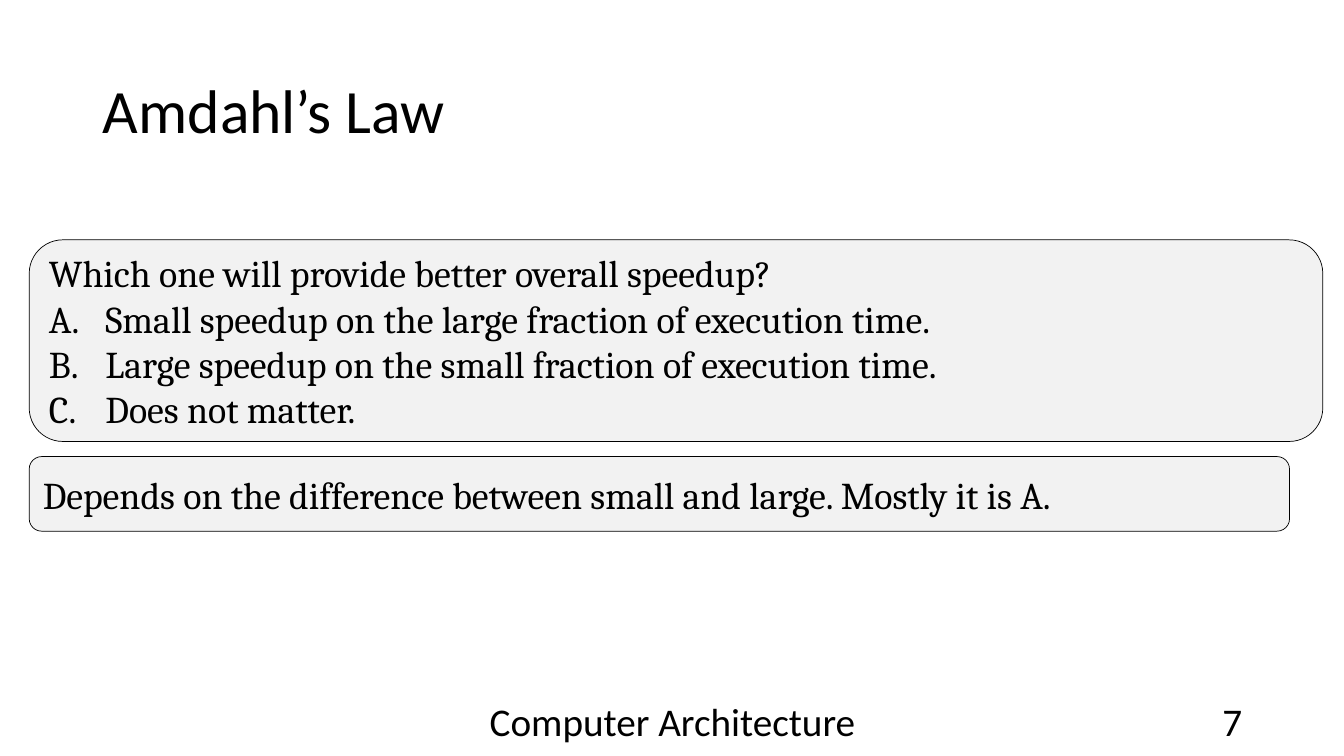
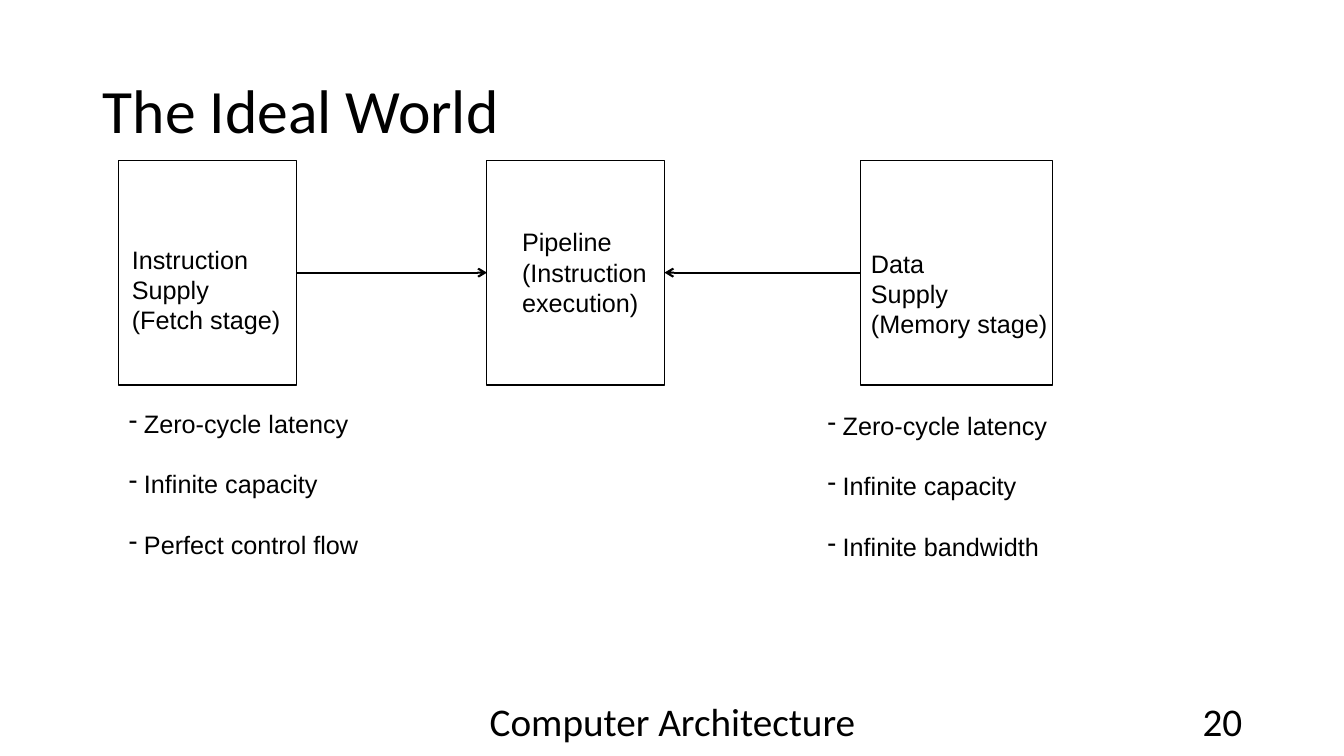
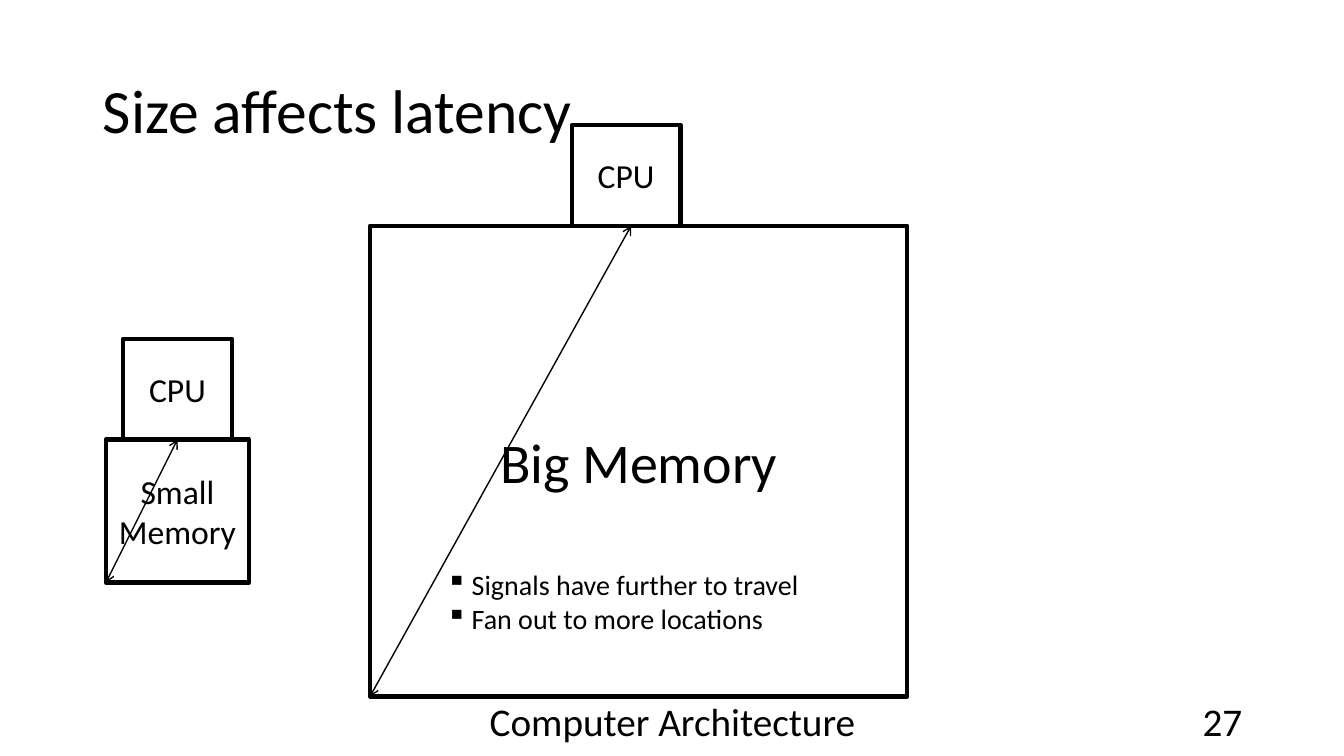
"""Build three slides on computer architecture: speedup, pipeline and latency."""
from dataclasses import dataclass

from lxml.etree import SubElement
from pptx import Presentation
from pptx.dml.color import RGBColor
from pptx.enum.shapes import MSO_CONNECTOR, MSO_SHAPE
from pptx.enum.text import MSO_ANCHOR, MSO_AUTO_SIZE, PP_ALIGN
from pptx.oxml.ns import qn
from pptx.util import Inches, Pt


@dataclass(frozen=True)
class Theme:
    ink: RGBColor = RGBColor(0, 0, 0)
    paper: RGBColor = RGBColor(255, 255, 255)
    panel: RGBColor = RGBColor(0xF2, 0xF2, 0xF2)
    sans: str = "Calibri"
    serif: str = "Cambria"
    plain: str = "Arial"
    title: int = 44
    big: int = 40
    foot: int = 28
    quiz: int = 27
    block: int = 24
    point: int = 20
    label: int = 18


theme = Theme()


def write(frame, lines, size, font=theme.sans, align=PP_ALIGN.LEFT, anchor=MSO_ANCHOR.MIDDLE,
          mark=None, indent=0, pitch=None, gap=0):
    """Fill a text frame; lines after a blank mark stay unmarked."""
    frame.word_wrap = True
    frame.auto_size = MSO_AUTO_SIZE.NONE
    frame.vertical_anchor = anchor
    for i, line in enumerate(lines):
        para = frame.paragraphs[0] if i == 0 else frame.add_paragraph()
        para.alignment = align
        para.space_after = Pt(gap)
        para.line_spacing = pitch
        run = para.add_run()
        run.text = line
        run.font.size = Pt(size)
        run.font.name = font
        run.font.color.rgb = theme.ink
        if mark and not (mark == "A." and i == 0):
            props = para._p.get_or_add_pPr()
            props.set("marL", str(Inches(indent)))
            props.set("indent", str(-Inches(indent)))
            if mark == "A.":
                SubElement(props, qn("a:buAutoNum"), type="alphaUcPeriod")
            else:
                SubElement(props, qn("a:buChar"), char=mark)


def box(shapes, kind, at, width, fill=None):
    """Add an outlined box."""
    shape = shapes.add_shape(kind, *map(Inches, at))
    shape.shadow.inherit = False
    if fill is None:
        shape.fill.background()
    else:
        shape.fill.solid()
        shape.fill.fore_color.rgb = fill
    shape.line.color.rgb = theme.ink
    shape.line.width = Pt(width)
    return shape


deck = Presentation()
deck.slide_width, deck.slide_height = Inches(13.33), Inches(7.5)
slides = []
for title, number in (("Amdahl’s Law", "7"), ("The Ideal World", "20"), ("Size affects latency", "27")):
    slide = deck.slides.add_slide(deck.slide_layouts[5])
    head = slide.shapes.title
    head.left, head.top, head.width, head.height = map(Inches, (0.92, 0.4, 11.5, 1.45))
    write(head.text_frame, [title], theme.title, pitch=0.9)
    for left, width, text, align in ((4.42, 4.5, "Computer Architecture", PP_ALIGN.CENTER),
                                     (9.42, 3, number, PP_ALIGN.RIGHT)):
        foot = slide.shapes.add_textbox(*map(Inches, (left, 6.95, width, 0.4)))
        write(foot.text_frame, [text], theme.foot, align=align)
    slides.append(slide)
law, ideal, delay = slides
links = []

quiz = ["Which one will provide better overall speedup?",
        "Small speedup on the large fraction of execution time.",
        "Large speedup on the small fraction of execution time.",
        "Does not matter."]
reply = ["Depends on the difference between small and large. Mostly it is A."]
for at, lines, mark in (((0.29, 2.38, 12.83, 2), quiz, "A."), ((0.29, 4.53, 12.5, 0.74), reply, None)):
    panel = box(law.shapes, MSO_SHAPE.ROUNDED_RECTANGLE, at, 0.5, theme.panel)
    write(panel.text_frame, lines, theme.quiz, theme.serif, mark=mark, indent=0.56)

stages = []
for left, width, at, lines in (
        (1.18, 1.76, (1.21, 2.37, 1.7, 1), ["Instruction", "Supply", "(Fetch stage)"]),
        (4.83, 1.76, (5.08, 2.2, 1.5, 1), ["Pipeline", "(Instruction", "execution)"]),
        (8.53, 1.91, (8.54, 2.41, 2, 1), ["Data", "Supply", "(Memory stage)"])):
    stages.append(box(ideal.shapes, MSO_SHAPE.RECTANGLE, (left, 1.59, width, 2.23), 0.75))
    label = ideal.shapes.add_textbox(*map(Inches, at))
    write(label.text_frame, lines, theme.label, theme.plain, anchor=MSO_ANCHOR.TOP, pitch=Pt(21.6))

fetch, core, data = stages
for start, begin, end in ((fetch, 3, 1), (data, 1, 3)):
    link = ideal.shapes.add_connector(MSO_CONNECTOR.STRAIGHT, 0, 0, 0, 0)
    link.begin_connect(start, begin)
    link.end_connect(core, end)
    links.append((link, 1.5, ["a:tailEnd"]))

for left, top, last in ((1.18, 4, "Perfect control flow"), (8.11, 4.02, "Infinite bandwidth")):
    notes = ideal.shapes.add_textbox(*map(Inches, (left, top, 2.6, 1.7)))
    write(notes.text_frame, ["Zero-cycle latency", "Infinite capacity", last], theme.label, theme.plain,
          anchor=MSO_ANCHOR.TOP, mark="-", indent=0.15, pitch=Pt(21.6), gap=21.6)

for name, size, left, top, width, height, port, chip, joined in (
        ("Small Memory", theme.block, 1.05, 4.36, 1.42, 1.42, 1.76, 1.22, True),
        ("Big Memory", theme.big, 3.67, 2.24, 5.33, 4.67, 6.26, 5.67, False)):
    group = delay.shapes.add_group_shape().shapes
    store = box(group, MSO_SHAPE.RECTANGLE, (left, top, width, height), 3, theme.paper)
    write(store.text_frame, [name], size, align=PP_ALIGN.CENTER)
    link = group.add_connector(MSO_CONNECTOR.STRAIGHT, *map(Inches, (left, top + height, port, top)))
    if joined:
        link.end_connect(store, 0)
    links.append((link, 1, ["a:headEnd", "a:tailEnd"]))
    unit = box(group, MSO_SHAPE.RECTANGLE, (chip, top - 1, 1.08, 1), 3, theme.paper)
    write(unit.text_frame, ["CPU"], theme.block, align=PP_ALIGN.CENTER)

points = delay.shapes.add_textbox(*map(Inches, (4.33, 5.58, 3.83, 0.94)))
write(points.text_frame, ["Signals have further to travel", "Fan out to more locations"], theme.point,
      anchor=MSO_ANCHOR.TOP, mark="▪", indent=0.25)

for link, width, ends in links:
    link.line.color.rgb = theme.ink
    link.line.width = Pt(width)
    for end in ends:
        SubElement(link.line._get_or_add_ln(), qn(end), type="arrow")
    SubElement(link._element.spPr, qn("a:effectLst"))

deck.save("out.pptx")
